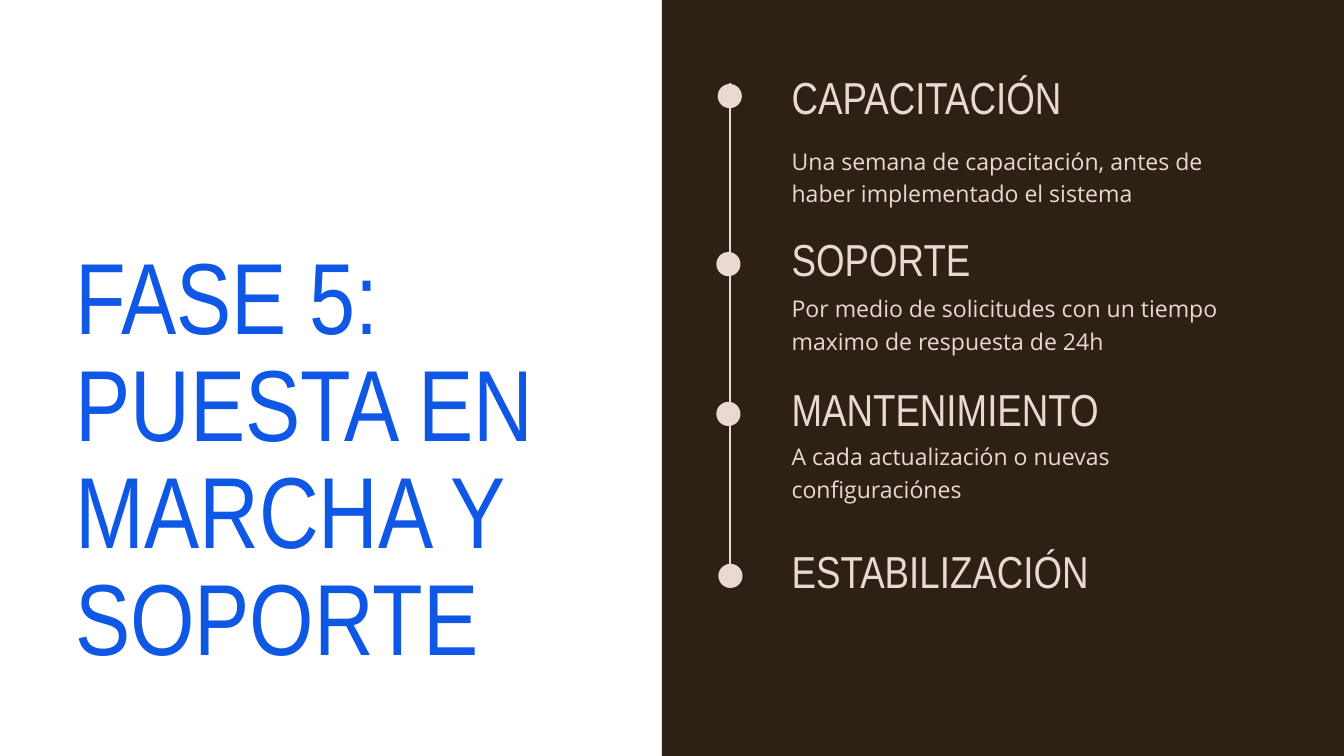
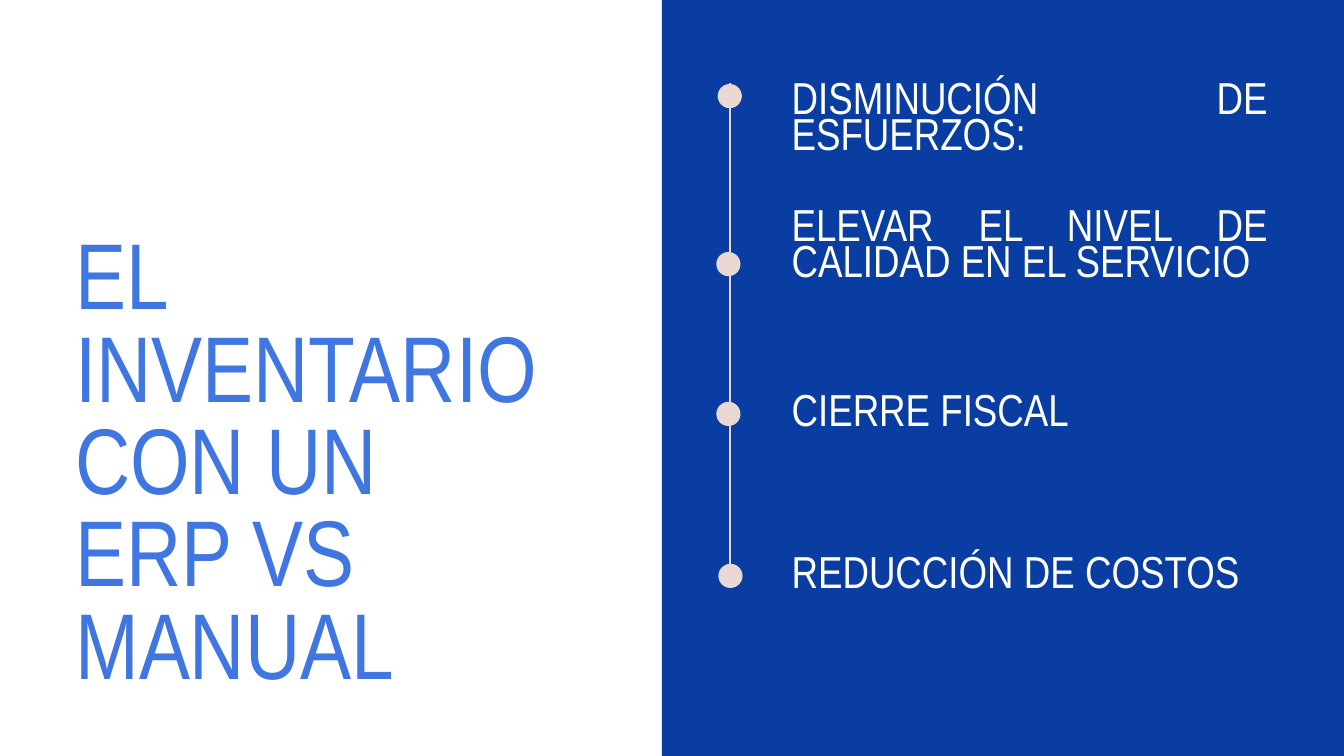
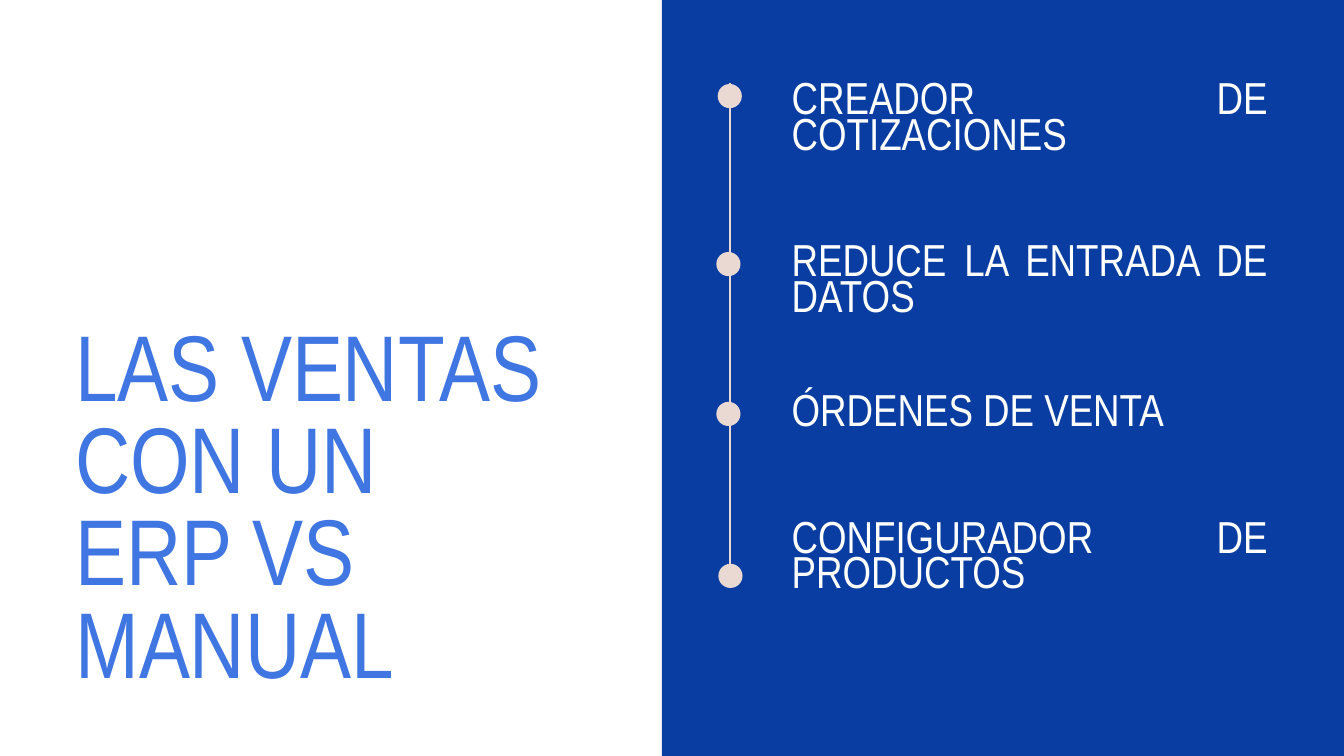
from dataclasses import dataclass

import lxml.etree
import pptx
import pptx.dml.color
import pptx.enum.shapes
import pptx.enum.text
import pptx.oxml.ns
import pptx.util

Pt = pptx.util.Pt
ALIGN = pptx.enum.text.PP_ALIGN
SHAPE = pptx.enum.shapes.MSO_SHAPE


@dataclass(frozen=True)
class TextStyle:
    font: str
    size: float
    leading: float
    align: int = ALIGN.LEFT


@dataclass(frozen=True)
class Theme:
    brown: str = "2D2015"
    navy: str = "0A3DA2"
    bright_blue: str = "0F57E5"
    soft_blue: str = "4076E1"
    blush: str = "EAD8D3"
    white: str = "FFFFFF"
    phase_title: TextStyle = TextStyle("Arial Narrow", 108.2, 114.7)
    versus_title: TextStyle = TextStyle("Arial Narrow", 100, 99)
    heading: TextStyle = TextStyle("Arial Narrow", 48, 38.4, ALIGN.JUSTIFY)
    detail: TextStyle = TextStyle("Open Sans", 24.7, 34.6)


@dataclass(frozen=True)
class Box:
    left: float
    top: float
    width: float
    height: float

    def inner(self, left, top, width, height):
        return Box(self.left + left, self.top + top, width, height)

    def lengths(self):
        return [Pt(value) for value in (self.left, self.top, self.width, self.height)]


@dataclass(frozen=True)
class Step:
    heading: str
    detail: str = ""
    raised: bool = False


THEME = Theme()
PAGE = Box(0, 0, 1440, 810)
PANEL = PAGE.inner(709.2, 0, 730.8, 810)
TITLE_LEFT = 80.64
TIMELINE_X = 72.72
TIMELINE_ENDS = (629.28, 88.56)
DOT_SIZE = 25.92
DOT_CORNERS = ((59.76, 90), (58.32, 270), (58.32, 430.56), (60.48, 604.08))
HEADING_TOPS = (94.32, 267.84, 428.4, 601.92)
HEADING_RAISE = 38.16
STEP_LEFT = 138.96
DETAIL_TOP = 152.64
DETAIL_PITCH = 158.4


def rgb(color):
    return pptx.dml.color.RGBColor.from_string(color)


def write_text(holder, text, *, box, style, color):
    holder.left, holder.top, holder.width, holder.height = box.lengths()
    frame = holder.text_frame
    frame.auto_size = pptx.enum.text.MSO_AUTO_SIZE.NONE
    frame.word_wrap = True
    frame.vertical_anchor = pptx.enum.text.MSO_ANCHOR.TOP
    frame.margin_left = frame.margin_right = frame.margin_top = frame.margin_bottom = 0
    frame.text = text
    paragraph = frame.paragraphs[0]
    paragraph.alignment = style.align
    paragraph.line_spacing = Pt(style.leading)
    font = paragraph.runs[0].font
    font.name = style.font
    font.size = Pt(style.size)
    font.color.rgb = rgb(color)


def add_text(slide, text, **text_format):
    write_text(slide.shapes.add_textbox(0, 0, 0, 0), text, **text_format)


def add_filled(slide, preset, box, color):
    filled = slide.shapes.add_shape(preset, *box.lengths())
    filled.shadow.inherit = False
    filled.fill.solid()
    filled.fill.fore_color.rgb = rgb(color)
    filled.line.fill.background()


def add_timeline(slide, box):
    x = Pt(box.left + TIMELINE_X)
    bottom, top = (Pt(box.top + end) for end in TIMELINE_ENDS)
    axis = slide.shapes.add_connector(
        pptx.enum.shapes.MSO_CONNECTOR.STRAIGHT, x, bottom, x, top
    )
    axis.line.color.rgb = rgb(THEME.blush)
    axis.line.width = Pt(2.25)
    lxml.etree.SubElement(axis._element.spPr, pptx.oxml.ns.qn("a:effectLst"))
    for left, top in DOT_CORNERS:
        add_filled(slide, SHAPE.OVAL, box.inner(left, top, DOT_SIZE, DOT_SIZE), THEME.blush)


def add_steps(slide, box, steps, color):
    for index, (step, top) in enumerate(zip(steps, HEADING_TOPS)):
        lift = HEADING_RAISE if step.raised else 0
        add_text(
            slide, step.heading, style=THEME.heading, color=color,
            box=box.inner(STEP_LEFT, top - lift, 510.48, 43.92 + lift),
        )
        if step.detail:
            detail_top = DETAIL_TOP + index * DETAIL_PITCH
            add_text(
                slide, step.detail, style=THEME.detail, color=color,
                box=box.inner(STEP_LEFT, detail_top, 493.92, 66.96),
            )


def add_timeline_slide(deck, title, title_box, title_style, title_color,
                       panel_color, step_color, steps):
    slide = deck.slides.add_slide(deck.slide_layouts.get_by_name("Title Only"))
    write_text(slide.shapes.title, title, box=title_box, style=title_style, color=title_color)
    add_filled(slide, SHAPE.RECTANGLE, PANEL, panel_color)
    add_timeline(slide, PANEL)
    add_steps(slide, PANEL, steps, step_color)


def add_phase_slide(deck, title, steps):
    add_timeline_slide(
        deck, title, PAGE.inner(TITLE_LEFT, 265.68, 562.32, 345.6),
        THEME.phase_title, THEME.bright_blue, THEME.brown, THEME.blush, steps,
    )


def add_versus_slide(deck, title, title_top, title_height, steps):
    add_timeline_slide(
        deck, title, PAGE.inner(TITLE_LEFT, title_top, 510.48, title_height),
        THEME.versus_title, THEME.soft_blue, THEME.navy, THEME.white, steps,
    )


def main():
    deck = pptx.Presentation()
    deck.slide_width, deck.slide_height = Pt(PAGE.width), Pt(PAGE.height)
    add_phase_slide(deck, "FASE 5: PUESTA EN MARCHA Y SOPORTE", [
        Step("CAPACITACIÓN", "Una semana de capacitación, antes de haber implementado el sistema"),
        Step("SOPORTE", "Por medio de solicitudes con un tiempo maximo de respuesta de 24h"),
        Step("MANTENIMIENTO", "A cada actualización o nuevas configuraciónes"),
        Step("ESTABILIZACIÓN"),
    ])
    add_versus_slide(deck, "EL INVENTARIO CON UN ERP VS MANUAL", 252.72, 300.24, [
        Step("DISMINUCIÓN DE ESFUERZOS:"),
        Step("ELEVAR EL NIVEL DE CALIDAD EN EL SERVICIO", raised=True),
        Step("CIERRE FISCAL"),
        Step("REDUCCIÓN DE COSTOS"),
    ])
    add_versus_slide(deck, "LAS VENTAS CON UN ERP VS MANUAL", 350.64, 201.6, [
        Step("CREADOR DE COTIZACIONES"),
        Step("REDUCE LA ENTRADA DE DATOS"),
        Step("ÓRDENES DE VENTA"),
        Step("CONFIGURADOR DE PRODUCTOS", raised=True),
    ])
    deck.save("out.pptx")


if __name__ == "__main__":
    main()
